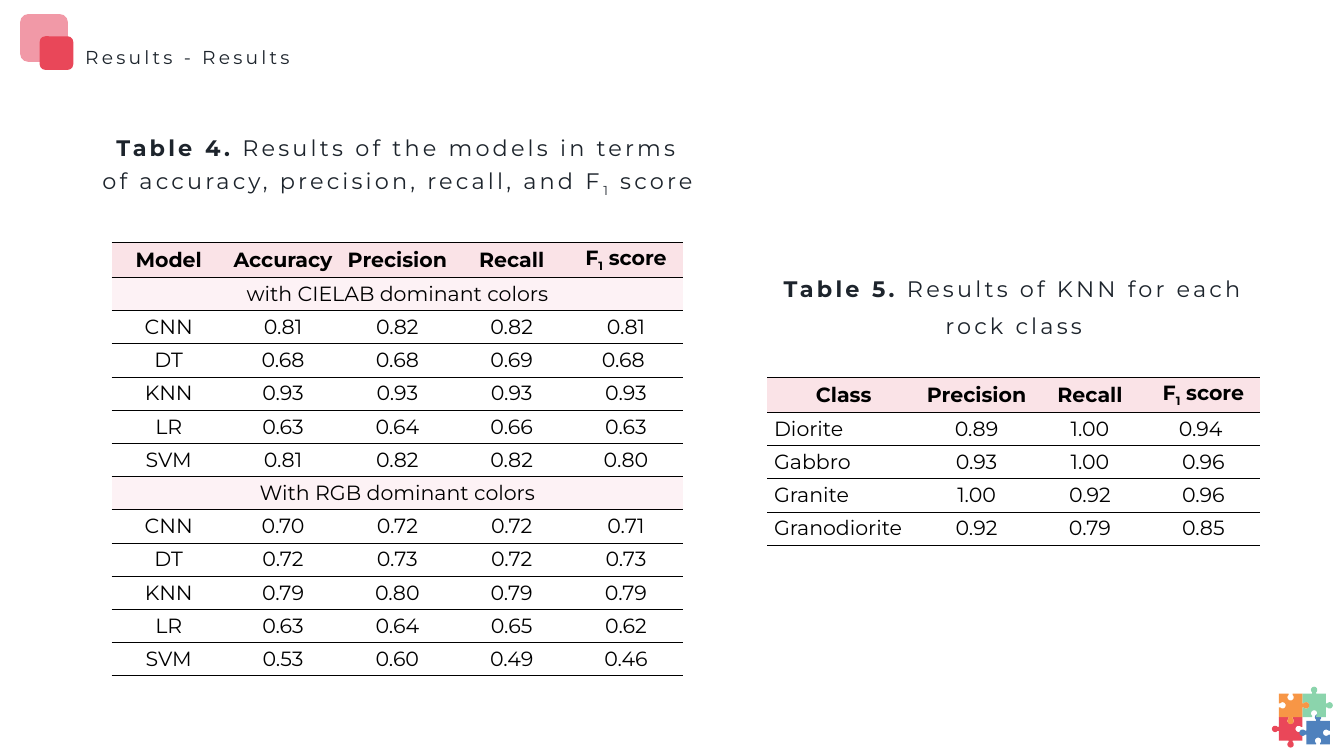
from math import cos, radians, sin

from lxml import etree
from pptx import Presentation
from pptx.dml.color import RGBColor
from pptx.enum.shapes import MSO_SHAPE
from pptx.enum.text import MSO_ANCHOR, MSO_AUTO_SIZE, PP_ALIGN
from pptx.oxml.ns import qn
from pptx.util import Pt

LEFT, CENTER = PP_ALIGN.LEFT, PP_ALIGN.CENTER
MIDDLE = MSO_ANCHOR.MIDDLE
GROW = MSO_AUTO_SIZE.SHAPE_TO_FIT_TEXT
ROUNDED = MSO_SHAPE.ROUNDED_RECTANGLE

INK = RGBColor(0x1D, 0x24, 0x2C)
BLACK = RGBColor(0x00, 0x00, 0x00)
PINK = RGBColor(0xF1, 0x99, 0xA7)
CRIMSON = RGBColor(0xE9, 0x47, 0x59)
HEADER_FILL = RGBColor(0xFA, 0xE3, 0xE7)
SECTION_FILL = RGBColor(0xFD, 0xF2, 0xF5)
RED = RGBColor(0xEA, 0x47, 0x59)
BLUE = RGBColor(0x4F, 0x81, 0xBD)
GREEN = RGBColor(0x8B, 0xD4, 0xAC)
ORANGE = RGBColor(0xF7, 0x96, 0x46)

NO_GRID_STYLE = "{2D5ABB26-0587-4C30-8999-92F81FD0307C}"
ROW_HEIGHT = 35.6
SUBSCRIPT = {"baseline": "-25000"}


def write(paragraph, runs, size, color, spacing="0"):
    for text, bold, extra in runs:
        run = paragraph.add_run()
        run.text = text
        look = {"name": "Montserrat", "size": Pt(size), "bold": bold}
        for key, value in look.items():
            setattr(run.font, key, value)
        run.font.color.rgb = color
        for key, value in {"spc": spacing, **extra}.items():
            run._r.get_or_add_rPr().set(key, value)


def f1_score(lead, bold):
    return [(lead + "F", bold, {}), ("1", bold, SUBSCRIPT), (" score", bold, {})]


presentation = Presentation()
presentation.slide_width = Pt(1440)
presentation.slide_height = Pt(810)
slide = presentation.slides.add_slide(presentation.slide_layouts[6])

corner = slide.shapes.add_group_shape()
for left, top, side, color, turn in [
    (21.6, 15.1, 51.1, PINK, 0),
    (42.5, 38.9, 36, CRIMSON, 90),
]:
    square = corner.shapes.add_shape(ROUNDED, Pt(left), Pt(top), Pt(side), Pt(side))
    square.shadow.inherit = False
    square.rotation = turn
    square.fill.solid()
    square.fill.fore_color.rgb = color
    square.line.fill.background()

# knob directions are 1 outward, -1 inward, for top, right, bottom, left
PIECE, KNOB_OFFSET, KNOB_RADIUS, NECK = 25.2, 4, 3.4, 2.1
puzzle = slide.shapes.add_group_shape()
for left, top, color, knobs in [
    (1370.2, 768.4, RED, (-1, -1, 1, 1)),
    (1399.7, 772.5, BLUE, (1, -1, -1, 1)),
    (1395.4, 743.2, GREEN, (1, 1, -1, -1)),
    (1370.2, 743.2, ORANGE, (-1, 1, 1, -1)),
]:
    half = PIECE / 2
    edge = [(-half, 0), (-NECK, 0)]
    for angle in range(230, -51, -20):
        edge.append((
            KNOB_RADIUS * cos(radians(angle)),
            KNOB_OFFSET + KNOB_RADIUS * sin(radians(angle)),
        ))
    edge.append((NECK, 0))
    outline = []
    for (dx, dy), knob in zip([(1, 0), (0, 1), (-1, 0), (0, -1)], knobs):
        for along, rise in edge:
            out = half + knob * rise
            x = left + half + along * dx + out * dy
            y = top + half + along * dy - out * dx
            outline.append((Pt(x), Pt(y)))
    builder = puzzle.shapes.build_freeform(*outline[0])
    builder.add_line_segments(outline[1:], close=True)
    piece = builder.convert_to_shape()
    piece.shadow.inherit = False
    piece.fill.solid()
    piece.fill.fore_color.rgb = color
    piece.line.fill.background()

for left, top, width, height, align, size, runs in [
    (84.2, 32.4, 342, 42.5, LEFT, 20, [("Results - Results", False, {})]),
    (100.8, 131.8, 650.2, 82.1, CENTER, 24, [
        ("Table 4.", True, {}),
        *f1_score(" Results of the models in terms of accuracy, precision, recall, and ", False),
    ]),
    (822.2, 283, 527.8, 82.1, CENTER, 24, [
        ("Table 5.", True, {}),
        (" Results of KNN for each rock class", False, {}),
    ]),
]:
    frame = slide.shapes.add_textbox(Pt(left), Pt(top), Pt(width), Pt(height)).text_frame
    layout = {"word_wrap": True, "auto_size": GROW, "vertical_anchor": MIDDLE}
    for key, value in layout.items():
        setattr(frame, key, value)
    caption = frame.paragraphs[0]
    caption.alignment = align
    caption.line_spacing = Pt(39.2)
    write(caption, runs, size, INK, "340")

MODEL_ROWS = [
    ["Model", "Accuracy", "Precision", "Recall", "F1 score"],
    ["with CIELAB dominant colors"],
    ["CNN", "0.81", "0.82", "0.82", "0.81"],
    ["DT", "0.68", "0.68", "0.69", "0.68 "],
    ["KNN", "0.93", "0.93", "0.93", "0.93"],
    ["LR", "0.63", "0.64", "0.66", "0.63"],
    ["SVM", "0.81", "0.82", "0.82", "0.80"],
    ["With RGB dominant colors"],
    ["CNN", "0.70", "0.72", "0.72", "0.71"],
    ["DT", "0.72", "0.73", "0.72", "0.73"],
    ["KNN", "0.79", "0.80", "0.79", "0.79"],
    ["LR", "0.63", "0.64", "0.65", "0.62"],
    ["SVM", "0.53", "0.60", "0.49", "0.46"],
]
CLASS_ROWS = [
    ["Class", "Precision", "Recall", "F1 score"],
    ["Diorite", "0.89", "1.00", "0.94 "],
    ["Gabbro", "0.93", "1.00", "0.96"],
    ["Granite", "1.00", "0.92", "0.96"],
    ["Granodiorite", "0.92", "0.79", "0.85"],
]

for left, top, widths, first_align, rows in [
    (119.5, 259.9, [122.5] * 5, CENTER, MODEL_ROWS),
    (822.2, 404.6, [163.4] + [121.5] * 3, LEFT, CLASS_ROWS),
]:
    table = slide.shapes.add_table(
        len(rows), len(widths), Pt(left), Pt(top),
        Pt(sum(widths)), Pt(ROW_HEIGHT * len(rows)),
    ).table
    table.first_row = False
    table.horz_banding = False
    table._tbl.tblPr.find(qn("a:tableStyleId")).text = NO_GRID_STYLE
    for column, width in zip(table.columns, widths):
        column.width = Pt(width)
    for r, values in enumerate(rows):
        table.rows[r].height = Pt(ROW_HEIGHT)
        section = len(values) == 1
        if section:
            table.cell(r, 0).merge(table.cell(r, len(widths) - 1))
        for c in range(len(widths)):
            cell = table.cell(r, c)
            cell.vertical_anchor = MIDDLE
            if r == 0 or section:
                cell.fill.solid()
                cell.fill.fore_color.rgb = SECTION_FILL if section else HEADER_FILL
            else:
                cell.fill.background()
            properties = cell._tc.get_or_add_tcPr()
            for position, side in enumerate(["a:lnT", "a:lnB"]):
                border = etree.Element(qn(side), w=str(Pt(1)))
                ink = etree.SubElement(border, qn("a:solidFill"))
                etree.SubElement(ink, qn("a:srgbClr"), val=str(BLACK))
                properties.insert(position, border)
            if c < len(values):
                entry = cell.text_frame.paragraphs[0]
                entry.alignment = first_align if c == 0 and r > 0 else CENTER
                runs = [(values[c], r == 0, {})]
                if values[c] == "F1 score":
                    runs = f1_score("", True)
                write(entry, runs, 22, BLACK)

presentation.save("out.pptx")
